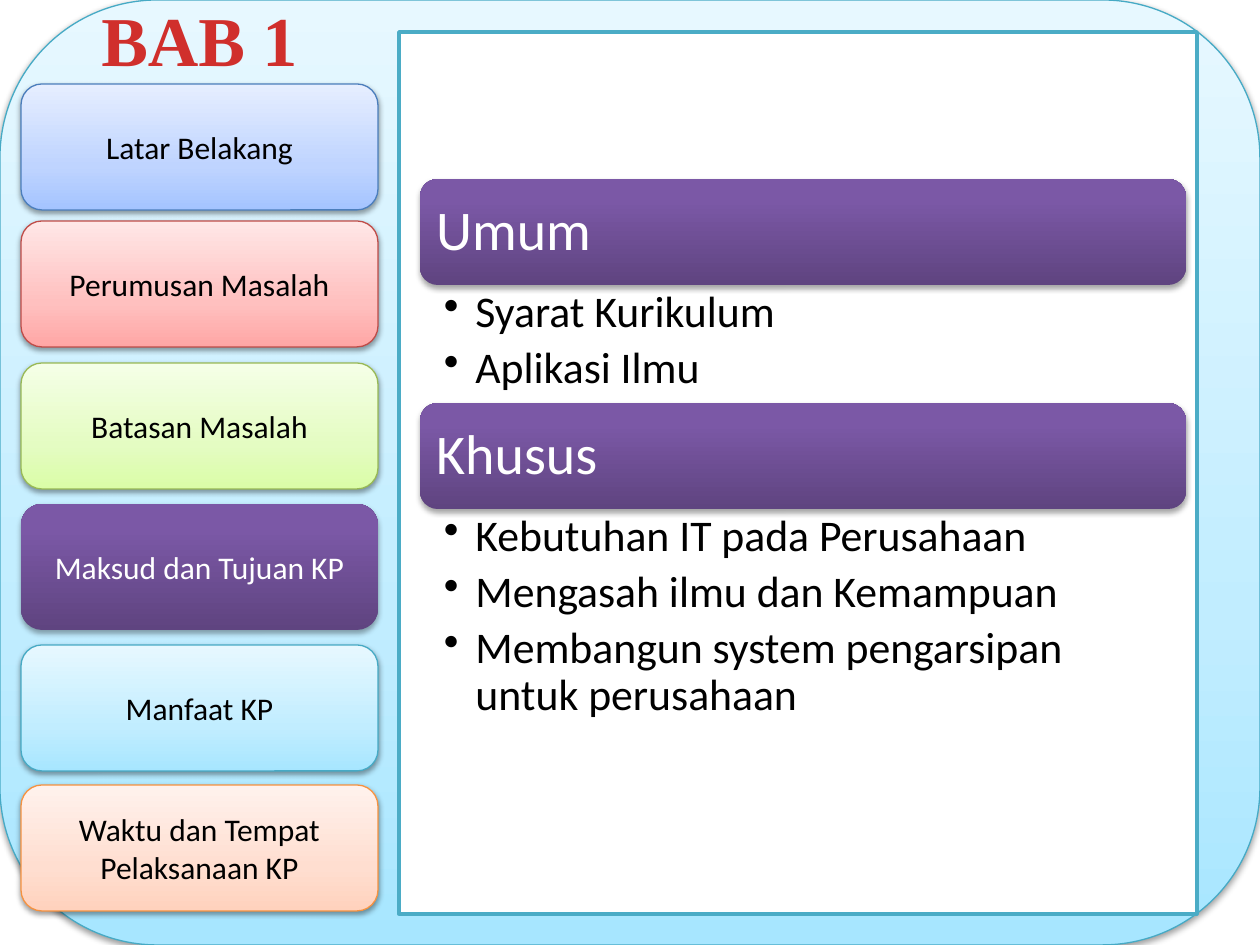
"""Build the BAB 1 slide: a column of chapter buttons beside a panel of aims."""
from dataclasses import dataclass

from lxml.etree import SubElement
from pptx import Presentation
from pptx.dml.color import RGBColor as RGB
from pptx.enum.shapes import MSO_SHAPE as Form
from pptx.enum.text import MSO_ANCHOR as Anchor, MSO_AUTO_SIZE as Auto, PP_ALIGN as Align
from pptx.oxml.ns import qn
from pptx.util import Emu, Pt

SCALE = 914400 / 126
COLORS = {
    "black": "000000", "white": "FFFFFF", "red": "D02F2C", "frame": "4BACC6",
    "sky": ("A7E6FF", "C1EDFF", "E7F8FF"), "sky edge": "46AAC5",
    "blue": ("A4C4FF", "BFD4FF", "E6EEFF"), "blue edge": "4B7EBC",
    "rose": ("FFA6A5", "FFC0BF", "FFE7E7"), "rose edge": "BF4C48",
    "lime": ("DAFDA7", "E4FCC2", "F5FFE7"), "lime edge": "98B955",
    "peach": ("FFD2BD", "FFDED0", "FFF2ED"), "peach edge": "F69240",
    "plum": ("5F4480", "7B58A6", "7C57A8"),
}


@dataclass
class Button:
    text: str
    hue: str
    top: int


@dataclass
class Group:
    head: str
    items: tuple[str, ...]
    top: int
    tall: int


BUTTONS = (
    Button("Latar Belakang", "blue", 84),
    Button("Perumusan Masalah", "rose", 221),
    Button("Batasan Masalah", "lime", 363),
    Button("Maksud dan Tujuan KP", "plum", 504),
    Button("Manfaat KP", "sky", 645),
    Button("Waktu dan Tempat Pelaksanaan KP", "peach", 785),
)
GROUPS = (
    Group("Umum", ("Syarat Kurikulum", "Aplikasi Ilmu"), 179, 118),
    Group("Khusus", ("Kebutuhan IT pada Perusahaan", "Mengasah ilmu dan Kemampuan",
                     "Membangun system pengarsipan untuk perusahaan"), 403, 228),
)


def px(num: int) -> Emu:
    return Emu(round(num * SCALE))


def box(*nums: int) -> list[Emu]:
    return [px(num) for num in nums]


def color(name: str) -> RGB:
    return RGB.from_string(COLORS[name])


def style(font, size: int, hue: str, face: str = "Calibri") -> None:
    font.size, font.name = Pt(size), face
    font.color.rgb = color(hue)


def inset(frame, left: int, top: int, right: int, base: int) -> None:
    frame.margin_left, frame.margin_top = px(left), px(top)
    frame.margin_right, frame.margin_bottom = px(right), px(base)


def shade(shape, hue: str) -> None:
    dark = hue == "plum"
    shape.fill.gradient()
    shape.fill.gradient_angle = 90
    stops = shape.element.spPr.find(f"{qn('a:gradFill')}/{qn('a:gsLst')}")
    stops.clear()
    for spot, code in zip((0, 80 if dark else 35, 100), COLORS[hue]):
        stop = SubElement(stops, qn("a:gs"), pos=str(spot * 1000))
        SubElement(stop, qn("a:srgbClr"), val=code)
    if dark:
        shape.line.fill.background()
    else:
        shape.line.color.rgb = color(f"{hue} edge")
        shape.line.width = Pt(0.75)
    shape.shadow.inherit = False
    cast = SubElement(shape.element.spPr.find(qn("a:effectLst")), qn("a:outerShdw"),
                      blurRad="40000", dist="23000" if dark else "20000",
                      dir="5400000", rotWithShape="0")
    black = SubElement(cast, qn("a:srgbClr"), val=COLORS["black"])
    SubElement(black, qn("a:alpha"), val="35000" if dark else "38000")


def card(slide, area: list[Emu], hue: str):
    shape = slide.shapes.add_shape(Form.ROUNDED_RECTANGLE, *area)
    shade(shape, hue)
    return shape


def label(shape, text: str, size: int, hue: str, align: Align):
    frame = shape.text_frame
    frame.text, frame.word_wrap = text, True
    frame.vertical_anchor = Anchor.MIDDLE
    line = frame.paragraphs[0]
    line.alignment = align
    style(line.font, size, "white" if hue == "plum" else "black")
    return frame


def draw_button(slide, item: Button) -> None:
    shape = card(slide, box(21, item.top, 357, 126), item.hue)
    label(shape, item.text, 18, item.hue, Align.CENTER)


def draw_group(slide, group: Group) -> None:
    shape = card(slide, box(420, group.top, 766, 106), "plum")
    frame = label(shape, group.head, 32, "plum", Align.LEFT)
    inset(frame, 11, 11, 11, 11)
    frame.paragraphs[0].line_spacing = 0.9

    area = box(420, group.top + 106, 766, group.tall)
    frame = slide.shapes.add_textbox(*area).text_frame
    frame.word_wrap = True
    inset(frame, 24, 5, 32, 5)
    frame.text = "\n".join(group.items)
    for line in frame.paragraphs:
        line.level, line.line_spacing, line.space_after = 1, 0.9, Pt(5)
        style(line.font, 25, "black")
        props = line._p.get_or_add_pPr()
        props.set("marL", "228600")
        props.set("indent", "-228600")
        mark = SubElement(props, qn("a:buChar"), char="•")
        props.find(qn("a:defRPr")).addprevious(mark)


def draw_title(slide) -> None:
    title = slide.shapes.title
    title.left, title.top, title.width, title.height = box(84, -10, 231, 97)
    frame = title.text_frame
    frame.text, frame.word_wrap = "BAB 1", True
    frame.auto_size, frame.vertical_anchor = Auto.SHAPE_TO_FIT_TEXT, Anchor.TOP
    line = frame.paragraphs[0]
    line.alignment, line.font.bold = Align.CENTER, True
    style(line.font, 40, "red", "Times New Roman")
    title.element.getparent().append(title.element)


def draw_panel(slide) -> None:
    panel = slide.shapes.add_shape(Form.RECTANGLE, *box(399, 32, 798, 882))
    panel.fill.solid()
    panel.fill.fore_color.rgb = color("white")
    panel.line.color.rgb = color("frame")
    panel.line.width = Pt(2)
    panel.shadow.inherit = False


def main() -> None:
    deck = Presentation()
    deck.slide_width, deck.slide_height = box(1260, 945)
    slide = deck.slides.add_slide(deck.slide_layouts[5])
    card(slide, box(0, 0, 1260, 945), "sky")
    draw_title(slide)
    draw_panel(slide)
    for item in BUTTONS:
        draw_button(slide, item)
    for group in GROUPS:
        draw_group(slide, group)
    deck.save("out.pptx")


if __name__ == "__main__":
    main()
